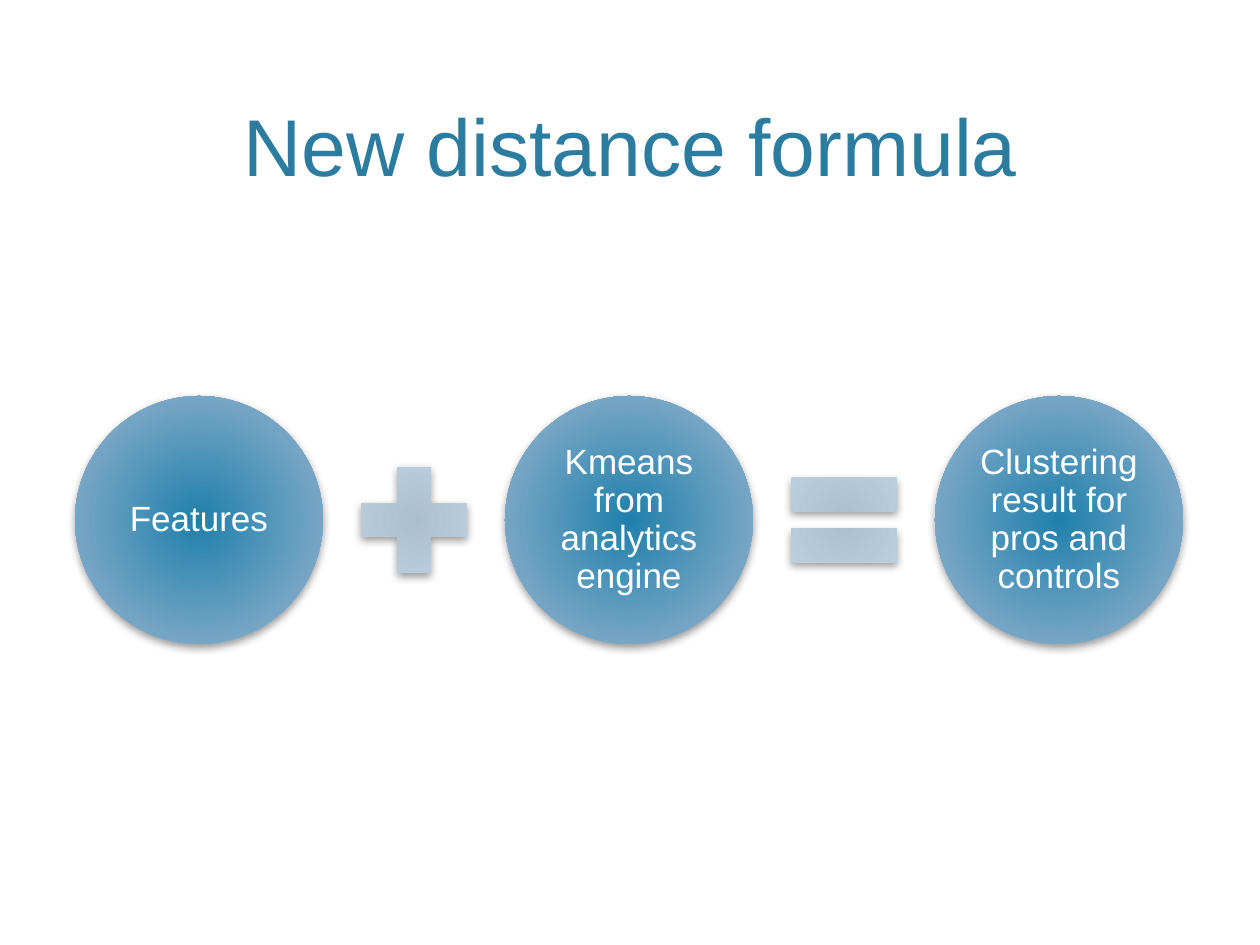
from lxml import etree
from pptx import Presentation, util as u
from pptx.dml.color import RGBColor
from pptx.enum import shapes, text
from pptx.oxml import parse_xml
from pptx.oxml.ns import nsdecls

PX = 914400 / 126
TEAL = RGBColor(0x2C, 0x7C, 0x9F)
WHITE = RGBColor(0xFF, 0xFF, 0xFF)
BLUE = [RGBColor(0x20, 0x80, 0xAB), RGBColor(0x75, 0xA5, 0xC5), RGBColor(0xB8, 0xCC, 0xDC)]
PALE = [RGBColor(0xAA, 0xBF, 0xD0), RGBColor(0xBC, 0xCF, 0xDE), RGBColor(0xD8, 0xE2, 0xEB)]

deck = Presentation()
deck.slide_width, deck.slide_height = u.Inches(10), u.Inches(7.5)
slide = deck.slides.add_slide(deck.slide_layouts[6])


def add_glow(kind, x, y, size, tones):
    """Square shape with a radial gradient and a soft shadow below it."""
    shape = slide.shapes.add_shape(kind, *(round(v * PX) for v in (x, y, size, size)))
    shape.line.fill.background()
    stops = "".join(f'<a:gs pos="{pos}000"><a:srgbClr val="{tone}"/></a:gs>'
                    for pos, tone in zip((0, 69, 100), tones))
    fill = parse_xml(
        f'<a:gradFill {nsdecls("a")} rotWithShape="1"><a:gsLst>{stops}</a:gsLst>'
        '<a:path path="circle"><a:fillToRect l="100000" t="100000" r="100000" b="100000"/>'
        '</a:path></a:gradFill>')
    shade = parse_xml(
        f'<a:effectLst {nsdecls("a")}><a:outerShdw blurRad="{u.Pt(5)}" dist="{u.Pt(2)}" '
        'dir="5400000" rotWithShape="0"><a:srgbClr val="000000"><a:alpha val="40000"/>'
        '</a:srgbClr></a:outerShdw></a:effectLst>')
    props = shape._element.spPr
    props.insert(2, fill)
    props.append(shade)
    return shape


def add_words(frame, words, size, tone):
    frame.word_wrap = True
    para = frame.paragraphs[0]
    para.alignment = text.PP_ALIGN.CENTER
    run = para.add_run()
    run.text = words
    run.font.name, run.font.size = "Arial", u.Pt(size)
    run.font.color.rgb = tone
    return para


# Title
title = slide.shapes.add_textbox(*(round(v * PX) for v in (76, 15, 1108, 184))).text_frame
title.vertical_anchor = text.MSO_ANCHOR.BOTTOM
add_words(title, "New distance formula", 46, TEAL)

# Equation: circles at an equal step, a sign centred in each gap
LEFT, TOP, DISC, SIGN, STEP = 75, 396, 248, 144, 430
terms = ["Features", "Kmeans from analytics engine", "Clustering result for pros and controls"]
signs = [shapes.MSO_SHAPE.MATH_PLUS, shapes.MSO_SHAPE.MATH_EQUAL]

for i, term in enumerate(terms):
    x = LEFT + i * STEP
    disc = add_glow(shapes.MSO_SHAPE.OVAL, x, TOP, DISC, BLUE)
    frame = disc.text_frame
    frame.margin_left = frame.margin_right = u.Inches(0.03)
    frame.margin_top = frame.margin_bottom = u.Inches(0.03)
    frame.vertical_anchor = text.MSO_ANCHOR.MIDDLE
    para = add_words(frame, term, 20, WHITE)
    para.line_spacing = 0.9
    if i < len(signs):
        gap = (STEP - DISC - SIGN) // 2
        add_glow(signs[i], x + DISC + gap, TOP + (DISC - SIGN) // 2, SIGN, PALE)

deck.save("out.pptx")
